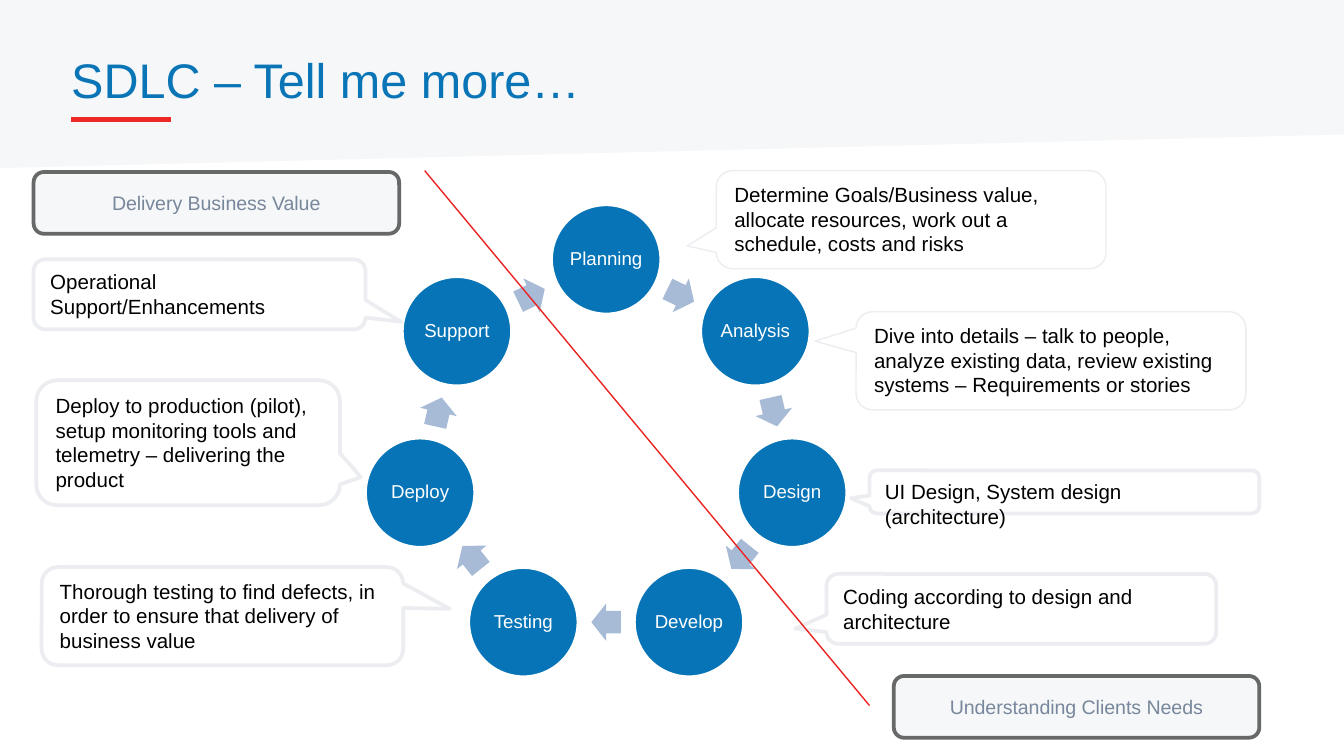
from dataclasses import dataclass
from math import cos, pi, sin

from pptx import Presentation
from pptx import util as u
from pptx.dml.color import RGBColor
from pptx.enum import shapes, text
from pptx.oxml.ns import qn

Inches = u.Inches
Kind = shapes.MSO_SHAPE
Anchor = text.MSO_ANCHOR
Align = text.PP_ALIGN


@dataclass(frozen=True)
class Theme:
    font: str = "Arial"
    title_color: str = "0975B6"
    stage: str = "0674B6"
    arrow: str = "A7BBD7"
    pale: str = "F5F7F8"
    white: str = "FFFFFF"
    black: str = "000000"
    callout_edge: str = "ECEDF0"
    goal_edge: str = "676868"
    goal_text: str = "78879C"
    underline: str = "ED2926"
    divider: str = "EB2320"
    title_size: float = 26
    stage_size: float = 10
    note_size: float = 11
    goal_size: float = 10.5


THEME = Theme()

SLIDE_WIDTH = 10
SLIDE_HEIGHT = SLIDE_WIDTH * 9 / 16

STAGES = ["Planning", "Analysis", "Design", "Develop", "Testing", "Deploy", "Support"]
RING_X, RING_Y, RING_RADIUS = 4.51, 3.35, 1.42
STAGE_SIZE = 0.82

# wording, (left, top, width, height), pointer offset, edge width
NOTES = [
    ("Determine Goals/Business value, allocate resources, work out a schedule, costs and risks",
     (5.33, 1.27, 2.9, 0.73), (-0.575, 0.267), 0.75),
    ("Dive into details – talk to people, analyze existing data, review existing systems"
     " – Requirements or stories",
     (6.37, 2.32, 2.9, 0.73), (-0.605, -0.2), 0.75),
    ("UI Design, System design (architecture)",
     (6.47, 3.5, 2.9, 0.32), (-0.548, 0.146), 2),
    ("Coding according to design and architecture",
     (6.15, 4.27, 2.9, 0.52), (-0.58, 0.283), 2),
    ("Thorough testing to find defects, in order to ensure that delivery of business value",
     (0.31, 4.22, 2.69, 0.73), (0.629, -0.074), 2),
    ("Deploy to production (pilot), setup monitoring tools and telemetry – delivering the product",
     (0.27, 2.83, 2.26, 0.93), (0.569, 0.275), 2),
    ("Operational Support/Enhancements",
     (0.25, 1.93, 2.47, 0.52), (0.607, 0.393), 2),
]

GOALS = [("Understanding Clients Needs", 6.65, 5.03),
         ("Delivery Business Value", 0.25, 1.28)]


def apply(target, formats):
    for name, value in formats.items():
        setattr(target, name, value)


def write(shape, wording, size, color, inset=(0.1, 0.05),
          anchor=Anchor.MIDDLE, align=Align.CENTER, spacing=1.0):
    frame = shape.text_frame
    across, down = map(Inches, inset)
    apply(frame, {"word_wrap": True, "vertical_anchor": anchor,
                  "margin_left": across, "margin_right": across,
                  "margin_top": down, "margin_bottom": down})
    paragraph = frame.paragraphs[0]
    apply(paragraph, {"alignment": align, "line_spacing": spacing})
    run = paragraph.add_run()
    run.text = wording
    apply(run.font, {"name": THEME.font, "size": u.Pt(size)})
    run.font.color.rgb = RGBColor.from_string(color)


def add_block(slide, kind, box, fill, edge=None, edge_width=2, rotation=0, adjust=()):
    block = slide.shapes.add_shape(kind, *map(Inches, box))
    block.shadow.inherit = False
    block.rotation = rotation
    block.fill.solid()
    block.fill.fore_color.rgb = RGBColor.from_string(fill)
    if edge:
        block.line.color.rgb = RGBColor.from_string(edge)
        block.line.width = u.Pt(edge_width)
    else:
        block.line.fill.background()
    for index, value in enumerate(adjust):
        block.adjustments[index] = value
    return block


def add_rule(slide, start, end, color, width):
    rule = slide.shapes.add_connector(shapes.MSO_CONNECTOR.STRAIGHT,
                                      *map(Inches, start + end))
    rule.line.color.rgb = RGBColor.from_string(color)
    rule.line.width = u.Pt(width)
    properties = rule._element.spPr
    properties.append(properties.makeelement(qn("a:effectLst"), {}))


def add_header(slide):
    add_block(slide, Kind.FLOWCHART_MANUAL_INPUT, (0, 0, SLIDE_WIDTH, 1.25),
              THEME.pale, rotation=180)
    title = slide.shapes.add_textbox(*map(Inches, (0.53, 0.37, 5.85, 0.44)))
    write(title, "SDLC – Tell me more…", THEME.title_size, THEME.title_color,
          inset=(0, 0), align=Align.LEFT)
    add_rule(slide, (1.27, 0.89), (0.53, 0.89), THEME.underline, 2.25)


def ring_box(angle, radius, width, height):
    x = RING_X + radius * sin(angle)
    y = RING_Y - radius * cos(angle)
    return x - width / 2, y - height / 2, width, height


def add_cycle(slide):
    step = 2 * pi / len(STAGES)
    for index, name in enumerate(STAGES):
        stage = add_block(slide, Kind.OVAL,
                          ring_box(index * step, RING_RADIUS, STAGE_SIZE, STAGE_SIZE),
                          THEME.stage, THEME.white)
        write(stage, name, THEME.stage_size, THEME.white, inset=(0.01, 0.01), spacing=0.9)
        # Each arrow sits halfway along the chord to the next stage
        turn = index + 0.5
        add_block(slide, Kind.RIGHT_ARROW,
                  ring_box(turn * step, RING_RADIUS * cos(step / 2), 0.22, 0.28),
                  THEME.arrow, rotation=turn * 360 / len(STAGES), adjust=(0.6, 0.5))


def add_note(slide, wording, box, pointer, edge_width):
    note = add_block(slide, Kind.ROUNDED_RECTANGULAR_CALLOUT, box, THEME.white,
                     THEME.callout_edge, edge_width, adjust=(*pointer, 0.167))
    write(note, wording, THEME.note_size, THEME.black, anchor=Anchor.TOP, align=Align.LEFT)


def add_goal(slide, wording, left, top):
    goal = add_block(slide, Kind.ROUNDED_RECTANGLE, (left, top, 2.72, 0.46),
                     THEME.pale, THEME.goal_edge, adjust=(0.167,))
    write(goal, wording, THEME.goal_size, THEME.goal_text)


def main():
    deck = Presentation()
    apply(deck, {"slide_width": Inches(SLIDE_WIDTH), "slide_height": Inches(SLIDE_HEIGHT)})
    slide = deck.slides.add_slide(deck.slide_layouts[6])

    add_header(slide)
    add_cycle(slide)
    for note in NOTES:
        add_note(slide, *note)
    # Divider between understanding needs and delivering value
    add_rule(slide, (3.16, 1.27), (6.47, 5.25), THEME.divider, 0.75)
    for goal in GOALS:
        add_goal(slide, *goal)

    deck.save("out.pptx")


if __name__ == "__main__":
    main()
